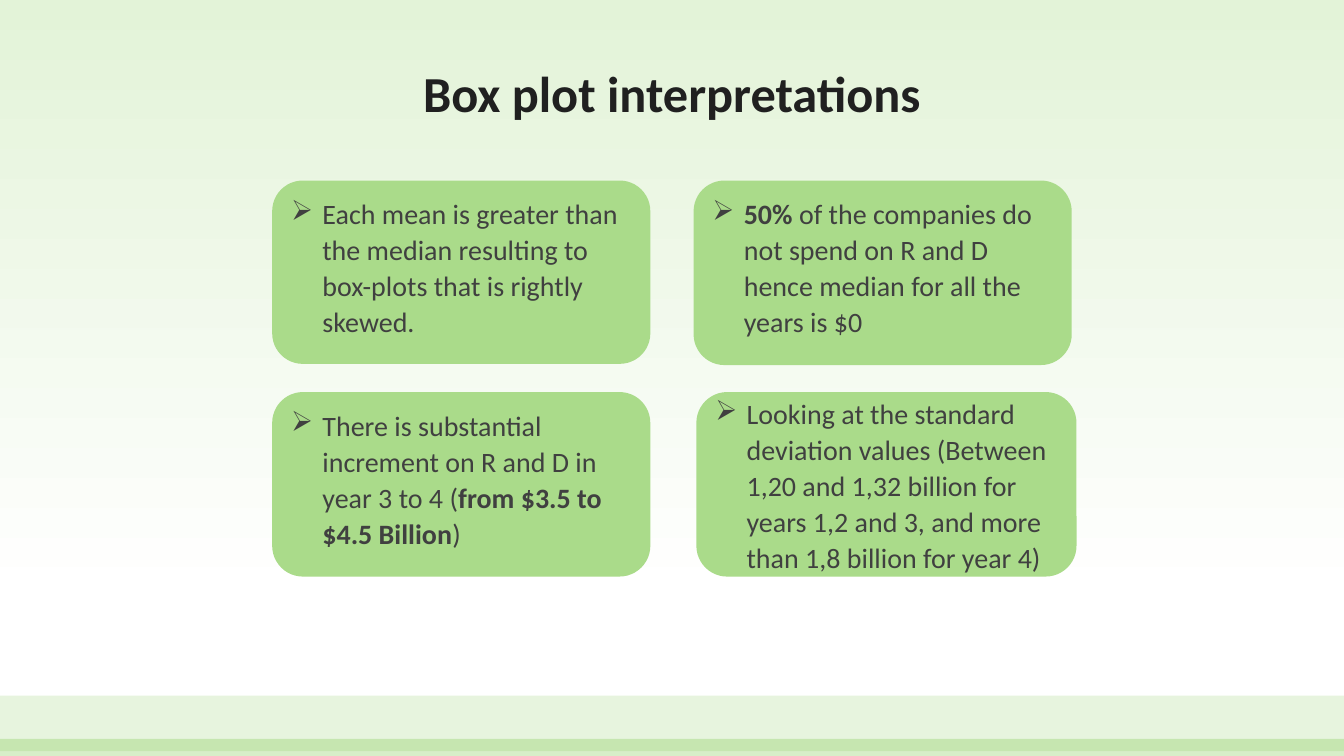
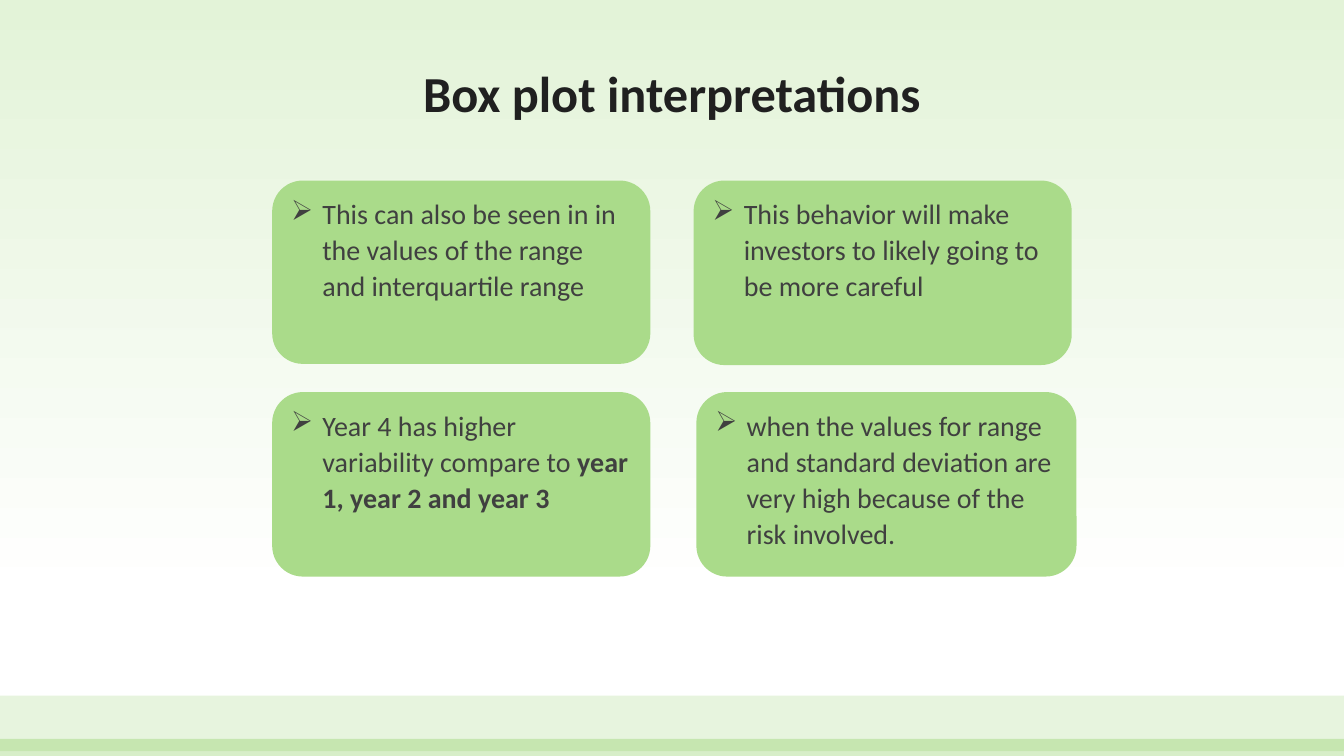
from dataclasses import dataclass

from lxml import etree
from pptx import Presentation
from pptx.dml.color import RGBColor
from pptx.enum.shapes import MSO_SHAPE
from pptx.enum.text import MSO_ANCHOR, MSO_AUTO_SIZE, PP_ALIGN
from pptx.oxml.ns import qn
from pptx.slide import Slide, SlideMaster
from pptx.util import Cm, Pt

RECTANGLE = MSO_SHAPE.RECTANGLE
ROUNDED = MSO_SHAPE.ROUNDED_RECTANGLE
TOP = MSO_ANCHOR.TOP
MIDDLE = MSO_ANCHOR.MIDDLE
CENTER = PP_ALIGN.CENTER
LEFT = PP_ALIGN.LEFT
NO_AUTOFIT = MSO_AUTO_SIZE.NONE

PALE_GREEN = RGBColor(0xE3, 0xF3, 0xD8)
WHITE = RGBColor(0xFF, 0xFF, 0xFF)
BAND_GREEN = RGBColor(0x72, 0xC2, 0x3C)
CARD_GREEN = RGBColor(0xAA, 0xDB, 0x8A)
TITLE_COLOR = RGBColor(0x20, 0x20, 0x20)
BODY_COLOR = RGBColor(0x40, 0x40, 0x40)

FONT = "Calibri"
BULLET = "➢"
BULLET_INDENT = Cm(0.79)
SLIDE_WIDTH = Cm(33.87)
SLIDE_HEIGHT = Cm(19.05)
TITLE_LAYOUT = 5
FIRST_BAND_ID = 101


@dataclass(frozen=True)
class Band:
    top: float
    height: float
    opacity: int


@dataclass(frozen=True)
class Slot:
    left: float
    top: float
    width: float
    height: float


@dataclass(frozen=True)
class Span:
    text: str
    bold: bool = False


@dataclass(frozen=True)
class Card:
    slot: Slot
    spans: tuple[Span, ...]
    anchor: MSO_ANCHOR = TOP


@dataclass(frozen=True)
class Page:
    title: str
    cards: tuple[Card, ...]


BANDS = (Band(17.53, 1.4, 17), Band(18.62, 0.43, 28))

UPPER_LEFT = Slot(6.86, 4.55, 9.53, 4.62)
UPPER_RIGHT = Slot(17.48, 4.55, 9.53, 4.65)
LOWER_LEFT = Slot(6.86, 9.88, 9.53, 4.65)
LOWER_RIGHT = Slot(17.55, 9.88, 9.58, 4.65)

TITLE = "Box plot interpretations"
PAGES = (
    Page(TITLE, (
        Card(UPPER_LEFT, (
            Span("Each mean is greater than the median resulting to "
                 "box-plots that is rightly skewed."),
        )),
        Card(LOWER_LEFT, (
            Span("There is substantial increment on R and D in year 3 to 4 ("),
            Span("from $3.5 to $4.5 Billion", bold=True),
            Span(")"),
        )),
        Card(LOWER_RIGHT, (
            Span("Looking at the standard deviation values (Between 1,20 and "
                 "1,32 billion for years 1,2 and 3, and more than 1,8 billion "
                 "for year 4)"),
        ), MIDDLE),
        Card(UPPER_RIGHT, (
            Span("50% ", bold=True),
            Span("of the companies do not spend on R and D hence median for "
                 "all the years is $0"),
        )),
    )),
    Page(TITLE, (
        Card(UPPER_LEFT, (
            Span("This can also be seen in in the values of the range and "
                 "interquartile range "),
        )),
        Card(LOWER_LEFT, (
            Span("Year 4 has higher variability compare to "),
            Span("year 1, year 2 and year 3", bold=True),
        )),
        Card(LOWER_RIGHT, (
            Span("when the values for range and standard deviation are very "
                 "high because of the risk involved."),
        )),
        Card(UPPER_RIGHT, (
            Span("This behavior will make investors to likely going to be "
                 "more careful"),
        )),
    )),
)


def set_background(master: SlideMaster) -> None:
    fill = master.background.fill
    fill.gradient()
    fill.gradient_angle = 270
    start, end = fill.gradient_stops
    start.position, start.color.rgb = 0, PALE_GREEN
    end.position, end.color.rgb = 0.79, WHITE


def add_plain_shape(slide: Slide, kind: MSO_SHAPE, slot: Slot, color: RGBColor):
    box = slide.shapes.add_shape(
        kind, Cm(slot.left), Cm(slot.top), Cm(slot.width), Cm(slot.height))
    box.shadow.inherit = False
    box.fill.solid()
    box.fill.fore_color.rgb = color
    box.line.fill.background()
    return box


def add_master_bands(master: SlideMaster, slide: Slide) -> None:
    for band_id, band in enumerate(BANDS, FIRST_BAND_ID):
        slot = Slot(0, band.top, SLIDE_WIDTH.cm, band.height)
        box = add_plain_shape(slide, RECTANGLE, slot, BAND_GREEN)
        color = box.element.spPr.find(qn("a:solidFill")).find(qn("a:srgbClr"))
        etree.SubElement(color, qn("a:alpha"), val=str(band.opacity * 1000))
        box.element.nvSpPr.cNvPr.set("id", str(band_id))
        master.element.cSld.spTree.append(box.element)


def format_title(slide: Slide, text: str) -> None:
    title = slide.shapes.title
    title.left, title.top = Cm(0), Cm(1.32)
    title.width, title.height = SLIDE_WIDTH, Cm(2.21)
    frame = title.text_frame
    frame.text = text
    frame.auto_size = NO_AUTOFIT
    frame.vertical_anchor = MIDDLE
    para = frame.paragraphs[0]
    para.alignment = CENTER
    para.line_spacing = 0.9
    para.font.name = FONT
    para.font.size = Pt(36)
    para.font.bold = True
    para.font.color.rgb = TITLE_COLOR


def add_bullet(para) -> None:
    properties = para._p.get_or_add_pPr()
    properties.set("marL", str(BULLET_INDENT))
    properties.set("indent", str(-BULLET_INDENT))
    etree.SubElement(properties, qn("a:buChar"), char=BULLET)


def add_card(slide: Slide, card: Card) -> None:
    box = add_plain_shape(slide, ROUNDED, card.slot, CARD_GREEN)
    frame = box.text_frame
    frame.word_wrap = True
    frame.vertical_anchor = card.anchor
    para = frame.paragraphs[0]
    para.alignment = LEFT
    para.line_spacing = 1.07
    para.space_after = Pt(8)
    add_bullet(para)
    para.font.name = FONT
    para.font.size = Pt(20)
    para.font.color.rgb = BODY_COLOR
    for span in card.spans:
        run = para.add_run()
        run.text = span.text
        if span.bold:
            run.font.bold = True


def build_deck() -> None:
    deck = Presentation()
    deck.slide_width, deck.slide_height = SLIDE_WIDTH, SLIDE_HEIGHT
    master = deck.slide_master
    set_background(master)
    for page in PAGES:
        slide = deck.slides.add_slide(deck.slide_layouts[TITLE_LAYOUT])
        format_title(slide, page.title)
        for card in page.cards:
            add_card(slide, card)
    add_master_bands(master, deck.slides[0])
    deck.save("out.pptx")


build_deck()
